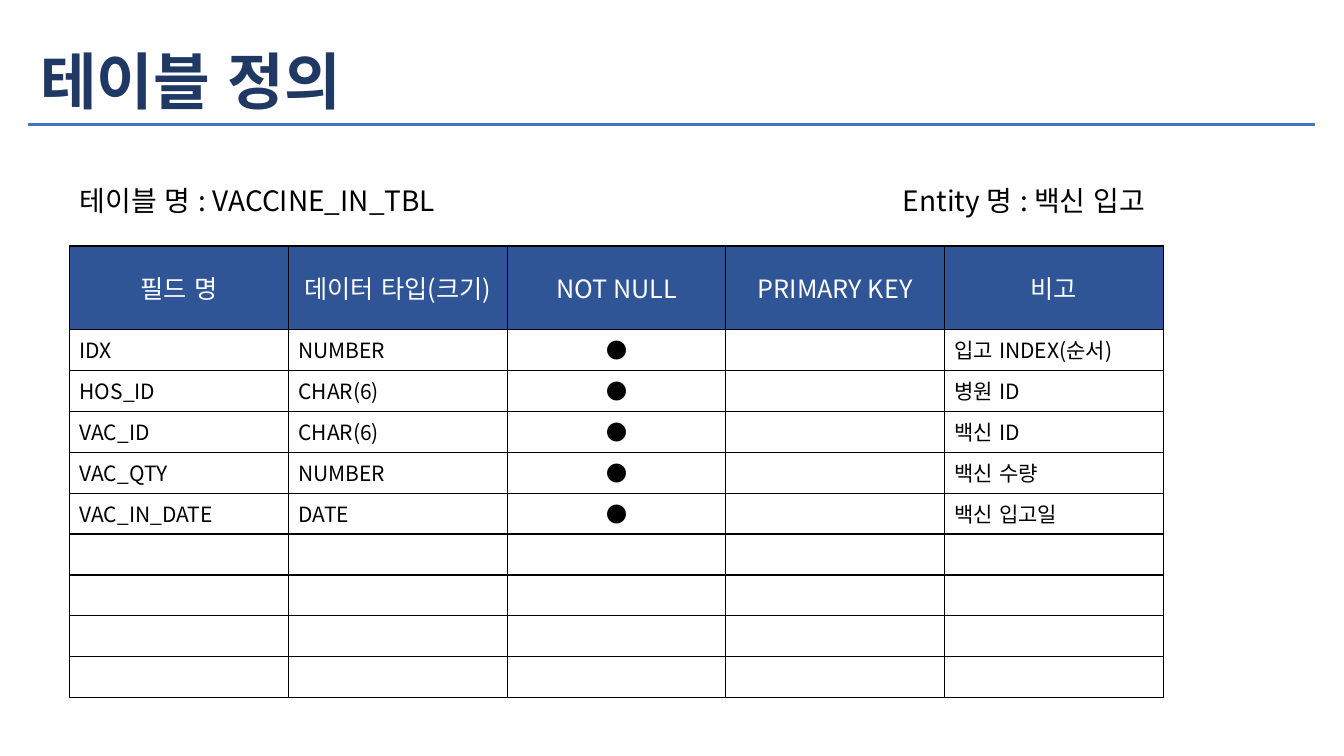
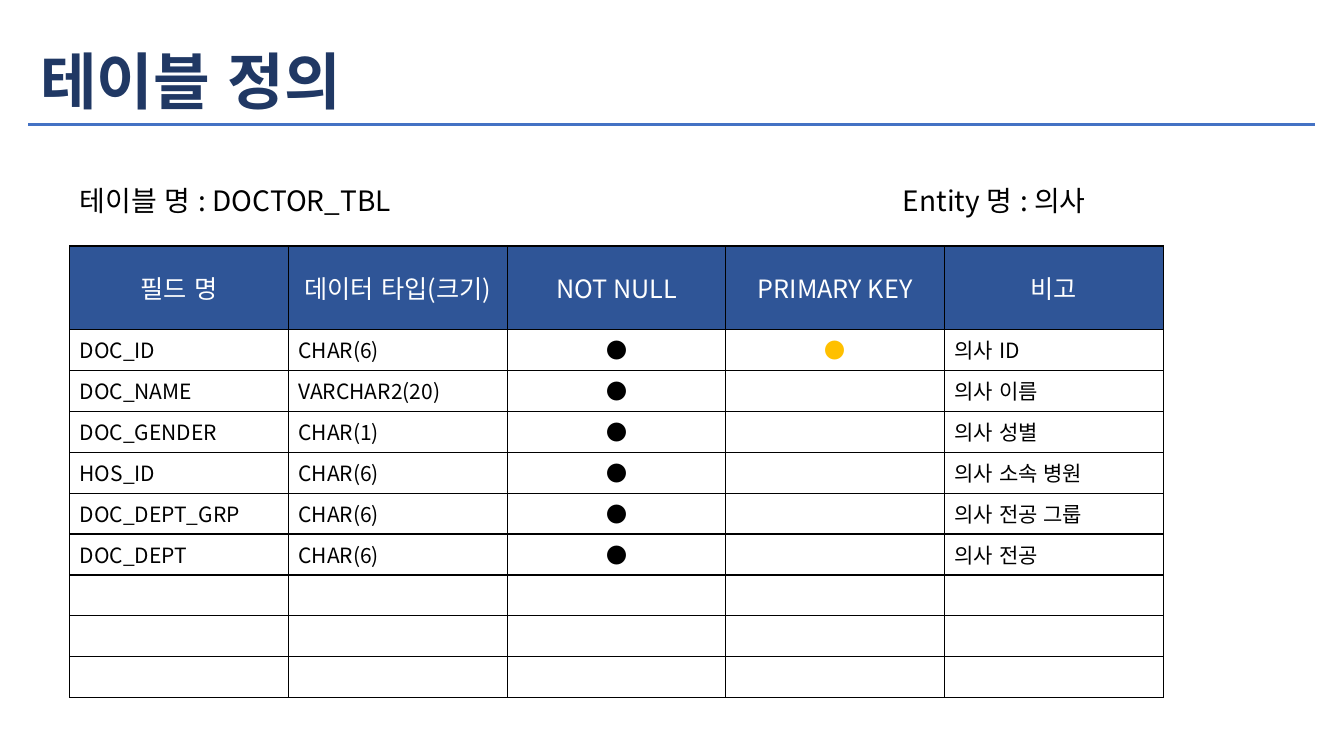
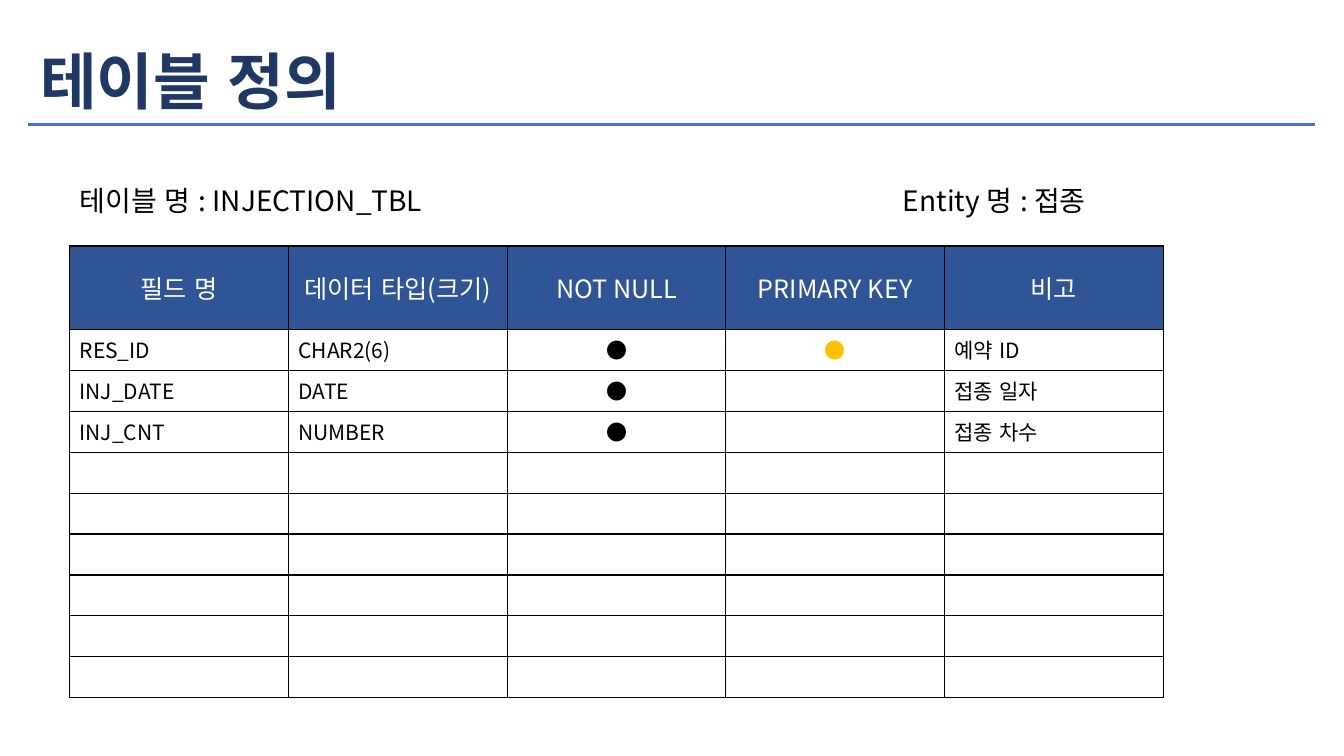
from lxml import etree
from pptx import Presentation
from pptx import util as u
from pptx.dml.color import RGBColor
from pptx.enum import lang, shapes, text
from pptx.oxml.ns import qn

FONT = "Noto Sans CJK KR"
NAVY, BLUE, HEADER, GOLD = "203864", "4472C4", "2F5597", "FFC000"
BLACK, WHITE = "000000", "FFFFFF"
CENTER = text.PP_ALIGN.CENTER
DOT = "●"
BODY_ROWS = 9
HEADER_SHARE = 2.04
HEADINGS = ["필드 명", "데이터 타입(크기)", "NOT NULL", "PRIMARY KEY", "비고"]

TITLE_BOX = (2.25, 4.27, 85.43, 13.87)
RULE_BOX = (2.03, 16.13, 95.85, 0.67)
NAME_BOX = (5.18, 23.33, 33.6, 6.8)
ENTITY_BOX = (66.45, 23.33, 33.55, 6.8)
TABLE_BOX = (5.18, 32.53, 81.38, 59.8)

TABLES = [
    ("VACCINE_IN_TBL", "백신 입고", [
        ("IDX", "NUMBER", DOT, "", "입고 INDEX(순서)"),
        ("HOS_ID", "CHAR(6)", DOT, "", "병원 ID"),
        ("VAC_ID", "CHAR(6)", DOT, "", "백신 ID"),
        ("VAC_QTY", "NUMBER", DOT, "", "백신 수량"),
        ("VAC_IN_DATE", "DATE", DOT, "", "백신 입고일"),
    ]),
    ("DOCTOR_TBL", "의사", [
        ("DOC_ID", "CHAR(6)", DOT, DOT, "의사 ID"),
        ("DOC_NAME", "VARCHAR2(20)", DOT, "", "의사 이름"),
        ("DOC_GENDER", "CHAR(1)", DOT, "", "의사 성별"),
        ("HOS_ID", "CHAR(6)", DOT, "", "의사 소속 병원"),
        ("DOC_DEPT_GRP", "CHAR(6)", DOT, "", "의사 전공 그룹"),
        ("DOC_DEPT", "CHAR(6)", DOT, "", "의사 전공"),
    ]),
    ("INJECTION_TBL", "접종", [
        ("RES_ID", "CHAR2(6)", DOT, DOT, "예약 ID"),
        ("INJ_DATE", "DATE", DOT, "", "접종 일자"),
        ("INJ_CNT", "NUMBER", DOT, "", "접종 차수"),
    ]),
]

presentation = Presentation()
presentation.slide_width = u.Inches(13.333)
presentation.slide_height = u.Inches(7.5)


def color(value):
    return RGBColor.from_string(value)


def place(box):
    width, height = presentation.slide_width, presentation.slide_height
    return [int(share * side / 100) for share, side in zip(box, (width, height) * 2)]


def write(frame, content, size, ink=BLACK, bold=False, align=None, spacing=None):
    paragraph = frame.paragraphs[0]
    paragraph.alignment = align
    paragraph.line_spacing = spacing
    if not content:
        etree.SubElement(paragraph._p, qn("a:endParaRPr"), sz=str(size * 100))
        return
    run = paragraph.add_run()
    run.text = content
    run.font.size = u.Pt(size)
    run.font.bold = bold
    run.font.color.rgb = color(ink)
    run.font.name = FONT
    run.font.language_id = lang.MSO_LANGUAGE_ID.KOREAN
    etree.SubElement(run.font._element, qn("a:ea"), typeface=FONT)


def add_label(slide, box, content, size, **style):
    frame = slide.shapes.add_textbox(*place(box)).text_frame
    frame.word_wrap = True
    frame.vertical_anchor = text.MSO_ANCHOR.MIDDLE
    write(frame, content, size, spacing=0.9, **style)


def add_heading(slide):
    add_label(slide, TITLE_BOX, "테이블 정의", 44, ink=NAVY, bold=True)
    rule = slide.shapes.add_shape(shapes.MSO_SHAPE.RECTANGLE, *place(RULE_BOX))
    rule.shadow.inherit = False
    rule.fill.solid()
    rule.fill.fore_color.rgb = color(BLUE)
    rule.line.color.rgb = color(WHITE)
    rule.line.width = u.Pt(1)


def add_borders(cell):
    properties = cell._tc.get_or_add_tcPr()
    for index, side in enumerate(("lnL", "lnR", "lnT", "lnB")):
        line = etree.Element(qn("a:" + side), w=str(u.Pt(1)))
        fill = etree.SubElement(line, qn("a:solidFill"))
        etree.SubElement(fill, qn("a:srgbClr"), val=BLACK)
        properties.insert(index, line)


def fill_header_cell(cell, content):
    cell.fill.solid()
    cell.fill.fore_color.rgb = color(HEADER)
    cell.vertical_anchor = text.MSO_ANCHOR.MIDDLE
    write(cell.text_frame, content, 18, ink=WHITE, align=CENTER)


def fill_body_cell(cell, content, column):
    cell.fill.background()
    ink = GOLD if HEADINGS[column] == "PRIMARY KEY" else BLACK
    write(cell.text_frame, content, 15, ink=ink, align=CENTER if content == DOT else None)


def add_field_table(slide, box, fields):
    left, top, width, height = place(box)
    columns = len(HEADINGS)
    table = slide.shapes.add_table(BODY_ROWS + 1, columns, left, top, width, height).table
    table.first_row = table.horz_banding = False
    row_height = height / (BODY_ROWS + HEADER_SHARE)
    blanks = [[""] * columns] * (BODY_ROWS - len(fields))
    for index, values in enumerate([HEADINGS, *fields, *blanks]):
        table.rows[index].height = int(row_height * (1 if index else HEADER_SHARE))
        for column, content in enumerate(values):
            cell = table.cell(index, column)
            if index:
                fill_body_cell(cell, content, column)
            else:
                fill_header_cell(cell, content)
            add_borders(cell)


def add_definition_slide(name, entity, fields):
    slide = presentation.slides.add_slide(presentation.slide_layouts[6])
    add_field_table(slide, TABLE_BOX, fields)
    add_label(slide, NAME_BOX, f"테이블 명 : {name}", 20)
    add_label(slide, ENTITY_BOX, f"Entity 명 : {entity}", 20)
    add_heading(slide)


for definition in TABLES:
    add_definition_slide(*definition)

presentation.save("out.pptx")
